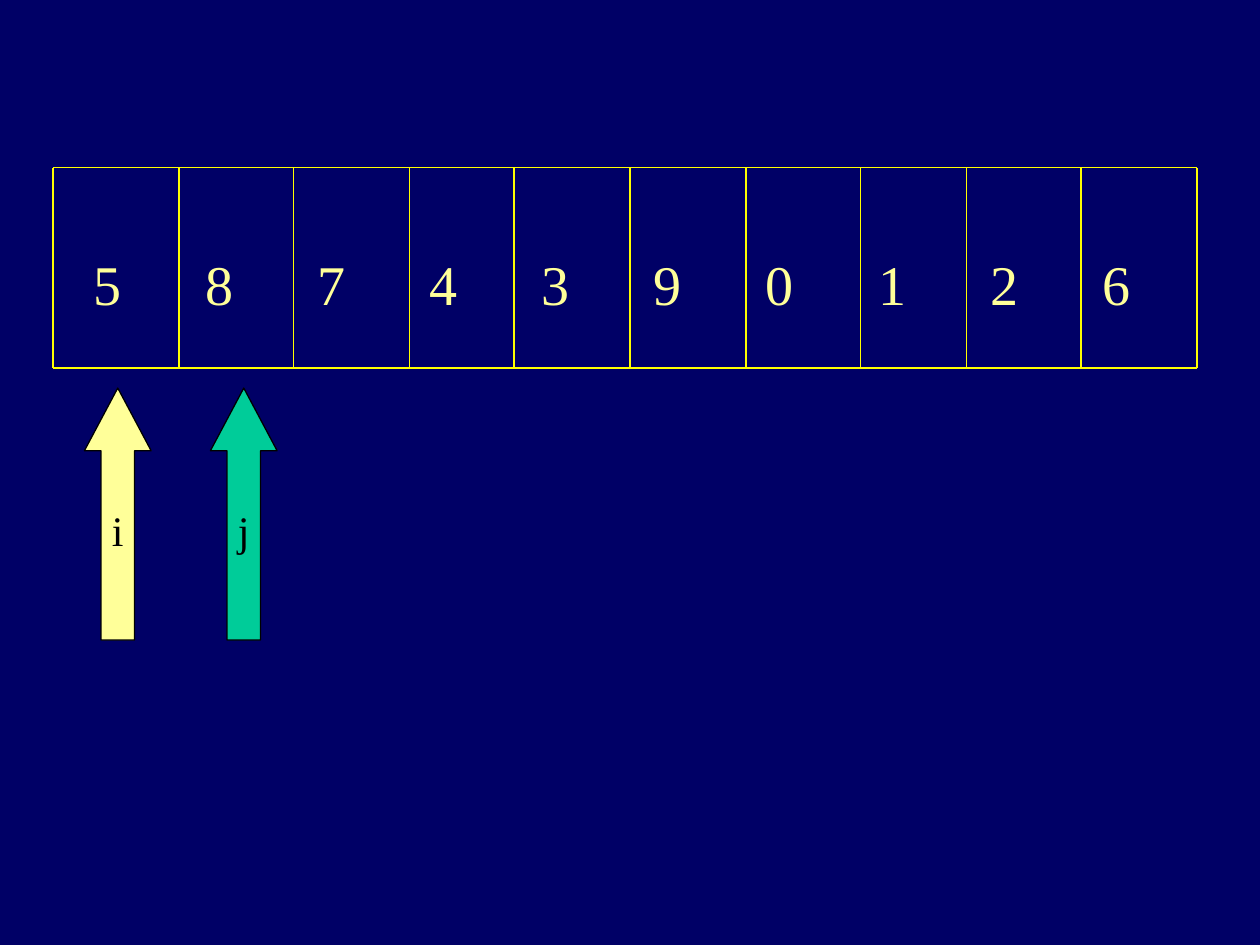
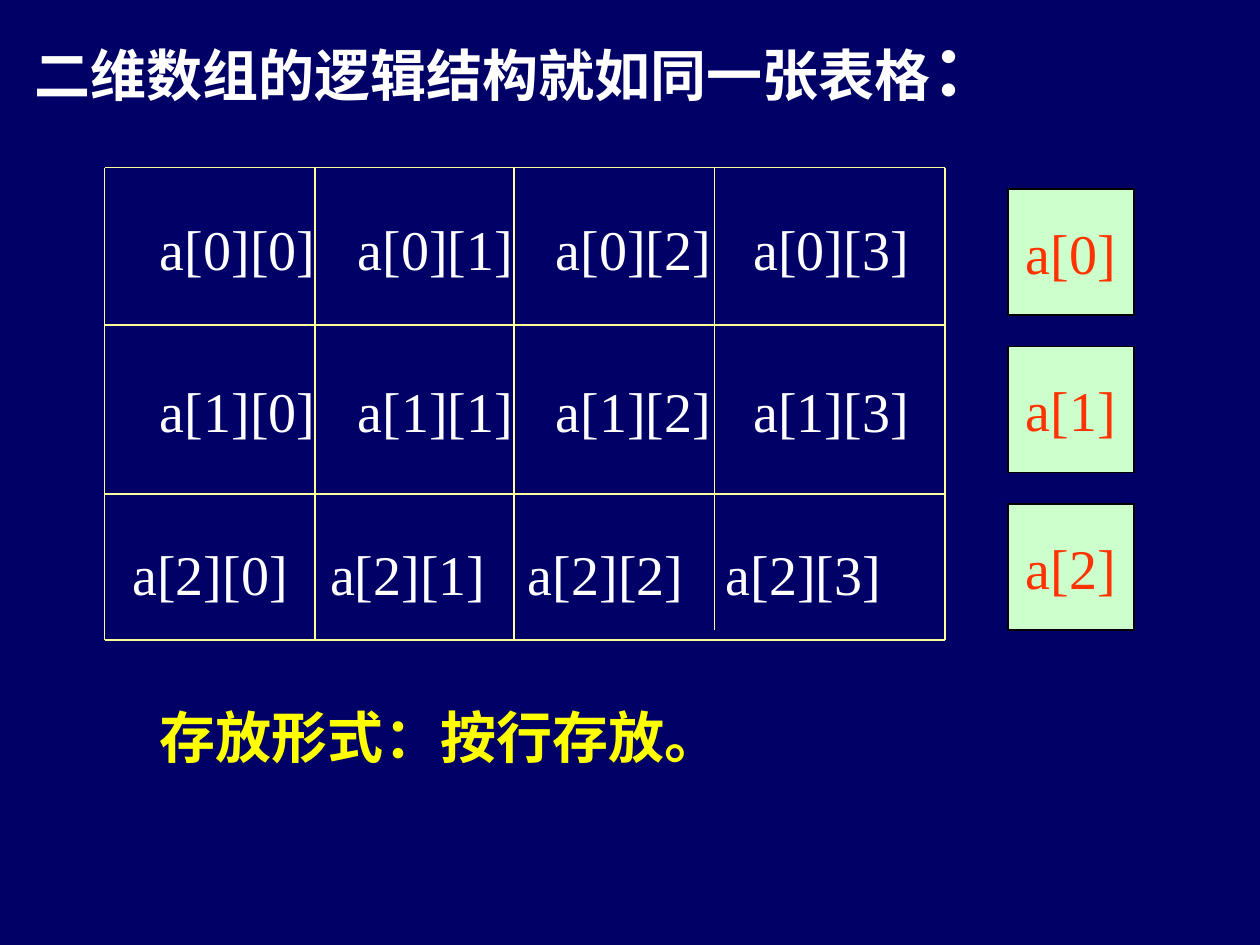
import dataclasses
import pptx
import pptx.dml.color
import pptx.enum.shapes
import pptx.enum.text
import pptx.oxml
import pptx.oxml.ns
import pptx.util

Inches = pptx.util.Inches
Shape = pptx.enum.shapes.MSO_SHAPE
Align = pptx.enum.text.PP_ALIGN
Anchor = pptx.enum.text.MSO_ANCHOR


@dataclasses.dataclass(frozen=True)
class Theme:
    font: str = "Times New Roman"
    navy: str = "000066"
    black: str = "000000"
    white: str = "FFFFFF"
    yellow: str = "FFFF00"
    cream: str = "FFFF99"
    teal: str = "00CC99"
    mint: str = "CCFFCC"
    red: str = "FF3300"
    small: int = 24
    body: int = 32
    large: int = 40
    line: float = 0.75


THEME = Theme()


def rgb(code):
    return pptx.dml.color.RGBColor.from_string(code)


def add_run(par, text, size, color, bold=False):
    run = par.add_run()
    run.text = text
    font = run.font
    font.name, font.size, font.bold = THEME.font, pptx.util.Pt(size), bold
    font.color.rgb = rgb(color)


def set_frame(frame, wrap, align, anchor, side=0.0, edge=0.0):
    """Set the text frame and return its first paragraph."""
    frame.auto_size = pptx.enum.text.MSO_AUTO_SIZE.NONE
    frame.word_wrap = wrap
    frame.vertical_anchor = anchor
    frame.margin_left = frame.margin_right = Inches(side)
    frame.margin_top = frame.margin_bottom = Inches(edge)
    par = frame.paragraphs[0]
    par.alignment = align
    return par


def add_text(slide, area, text, color, align=Align.LEFT, bold=False,
             anchor=Anchor.TOP):
    box = slide.shapes.add_textbox(*map(Inches, area))
    par = set_frame(box.text_frame, True, align, anchor)
    add_run(par, text, THEME.body, color, bold)


def add_title(slide, area, parts):
    """Fill the title from (text, size) parts."""
    title = slide.shapes.title
    title.left, title.top, title.width, title.height = map(Inches, area)
    par = set_frame(title.text_frame, True, Align.LEFT, Anchor.MIDDLE, 0.1)
    for text, size in parts:
        add_run(par, text, size, THEME.white, True)


def add_line(slide, start, end, color):
    line = slide.shapes.add_connector(
        pptx.enum.shapes.MSO_CONNECTOR.STRAIGHT, *map(Inches, start + end))
    line.line.color.rgb = rgb(color)
    line.line.width = pptx.util.Pt(THEME.line)
    line._element.spPr.append(
        pptx.oxml.parse_xml(f'<a:effectLst {pptx.oxml.ns.nsdecls("a")}/>'))


def add_grid(slide, cols, rows, color, ends=None):
    """Rule a grid; ends maps a column line to its own lower end."""
    for y in rows:
        add_line(slide, (cols[0], y), (cols[-1], y), color)
    for x in cols:
        low = (ends or {}).get(x, rows[-1])
        add_line(slide, (x, rows[0]), (x, low), color)


def add_label(slide, kind, area, text, fill, size, color):
    shape = slide.shapes.add_shape(kind, *map(Inches, area))
    shape.shadow.inherit = False
    shape.fill.solid()
    shape.fill.fore_color.rgb = rgb(fill)
    shape.line.color.rgb = rgb(THEME.black)
    shape.line.width = pptx.util.Pt(THEME.line)
    par = set_frame(shape.text_frame, False, Align.CENTER, Anchor.MIDDLE,
                    0.1, 0.05)
    add_run(par, text, size, color)
    return shape


def add_arrow(slide, left, text, fill):
    arrow = add_label(slide, Shape.UP_ARROW, (left, 3.08, 0.53, 2), text,
                      fill, THEME.small, THEME.black)
    arrow.adjustments[0], arrow.adjustments[1] = 0.5, 0.94


def build_sort(slide):
    cols = [0.42, 1.42, 2.33, 3.25, 4.08, 5, 5.92, 6.83, 7.67, 8.58, 9.5]
    add_grid(slide, cols, [1.33, 2.92], THEME.yellow)
    width, pitch = 0.5, 0.89
    for col, digit in enumerate("5874390126"):
        area = (0.6 + col * pitch, 1.98, width, 0.55)
        add_text(slide, area, digit, THEME.cream, Align.CENTER)
    add_arrow(slide, 0.67, "i", THEME.cream)
    add_arrow(slide, 1.67, "j", THEME.teal)


def build_array(slide):
    add_title(slide, (0.17, 0.14, 9.42, 0.8),
              [("二维数组的逻辑结构就如同一张表格", THEME.body),
               ("：", THEME.large)])
    add_grid(slide, [0.83, 2.5, 4.08, 5.67, 7.5], [1.33, 2.58, 3.92, 5.08],
             THEME.cream, {5.67: 5})
    for row, left in enumerate([1.27, 1.27, 1.05]):
        for col in range(4):
            area = (left + col * 1.57, 1.7 + row * 1.29, 1.4, 0.55)
            add_text(slide, area, f"a[{row}][{col}]", THEME.white)
        add_label(slide, Shape.RECTANGLE, (8, 1.5 + row * 1.25, 1, 1),
                  f"a[{row}]", THEME.mint, THEME.body, THEME.red)
    add_text(slide, (1.27, 5.49, 6, 0.7), "存放形式：按行存放。",
             THEME.yellow, bold=True, anchor=Anchor.MIDDLE)


def main():
    prs = pptx.Presentation()
    prs.slide_width, prs.slide_height = Inches(10), Inches(7.5)
    back = prs.slide_master.background.fill
    back.solid()
    back.fore_color.rgb = rgb(THEME.navy)
    blank, titled = prs.slide_layouts[6], prs.slide_layouts[5]
    build_sort(prs.slides.add_slide(blank))
    build_array(prs.slides.add_slide(titled))
    prs.save("out.pptx")


if __name__ == "__main__":
    main()
